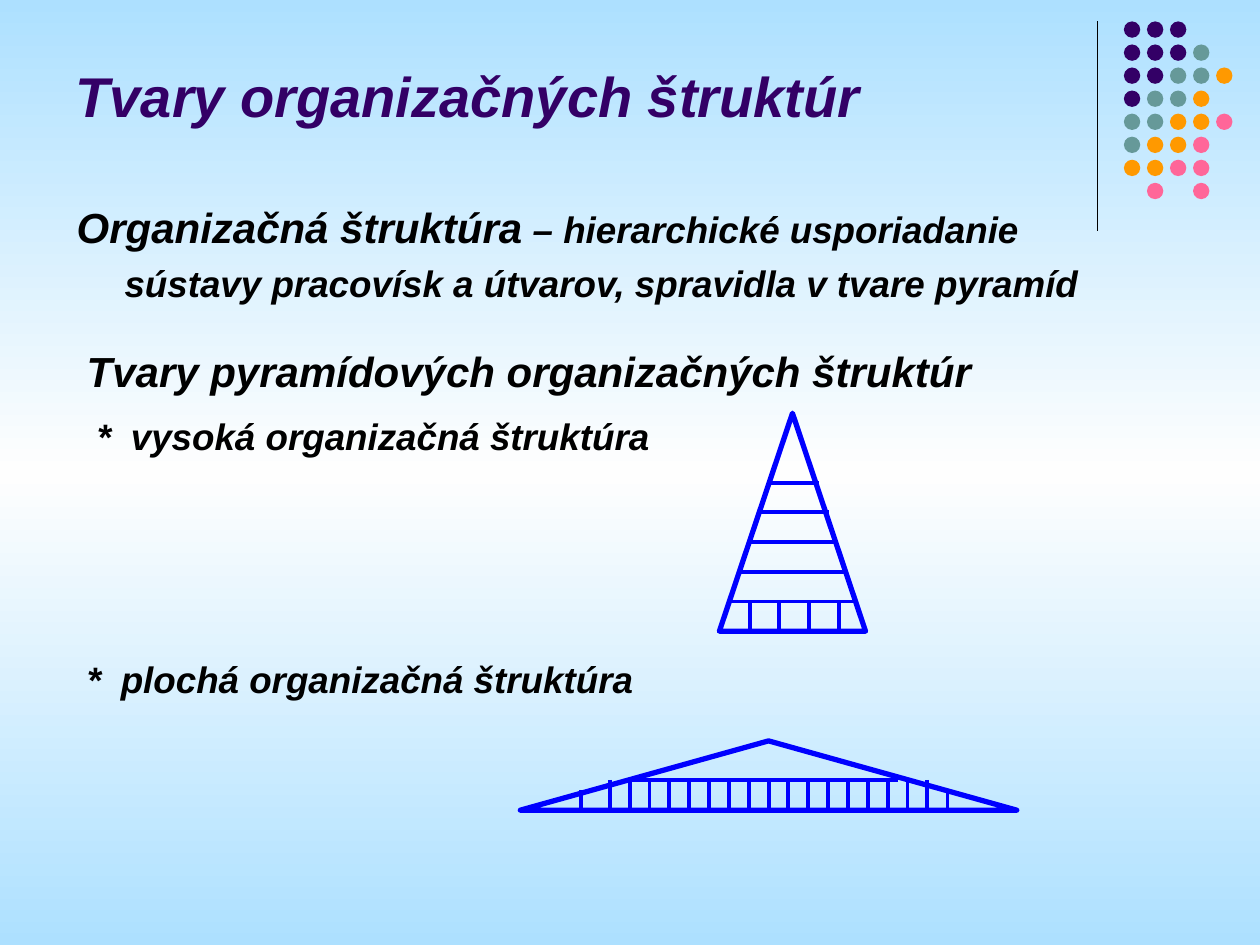
from copy import deepcopy

from lxml import etree
from pptx import Presentation
from pptx.dml.color import RGBColor
from pptx.enum import shapes, text
from pptx.oxml import ns
from pptx.util import Inches, Pt

COLORS = {
    "sky": "ADE0FF", "haze": "FEFEFE", "ink": "000000", "pyramid": "0000FF",
    "violet": "330066", "teal": "669999", "orange": "FF9900", "pink": "FF6699",
}
DOT_ROWS = ["VVV", "VVVT", "VVTTO", "VTTO", "TTOOP", "TOOP", "OOPP", " P P"]
DOT_COLORS = {"V": "violet", "T": "teal", "O": "orange", "P": "pink"}
FONT = "Arial"


def rgb(name):
    return RGBColor.from_string(COLORS[name])


def paint_background(slide):
    fill = slide.background.fill
    fill.gradient()
    fill.gradient_angle = 270
    stop_list = fill.gradient_stops[0]._gs.getparent()
    stop_list.insert(1, deepcopy(stop_list[0]))
    for stop, position, color in zip(fill.gradient_stops, (0, 0.5, 1), ("sky", "haze", "sky")):
        stop.position = position
        stop.color.rgb = rgb(color)


def add_line(parent, start, end, color, weight):
    line = parent.shapes.add_connector(
        shapes.MSO_CONNECTOR.STRAIGHT, *map(Inches, (*start, *end)))
    line.line.color.rgb = rgb(color)
    line.line.width = Pt(weight)
    etree.SubElement(line._element.spPr, ns.qn("a:effectLst"))


def add_dots(slide, left, top, pitch=0.183, size=0.13):
    dots = slide.shapes.add_group_shape()
    for row, codes in enumerate(DOT_ROWS):
        for column, code in enumerate(codes):
            if code == " ":
                continue
            dot = dots.shapes.add_shape(
                shapes.MSO_SHAPE.OVAL, Inches(left + column * pitch),
                Inches(top + row * pitch), Inches(size), Inches(size))
            dot.shadow.inherit = False
            dot.fill.solid()
            dot.fill.fore_color.rgb = rgb(DOT_COLORS[code])
            dot.line.fill.background()


def add_run(paragraph, words, size, color="ink"):
    run = paragraph.add_run()
    run.text = words
    font = run.font
    font.name, font.size, font.bold, font.italic = FONT, Pt(size), True, True
    font.color.rgb = rgb(color)


def add_title(slide, left, top, width, height):
    title = slide.shapes.title
    title.left, title.top, title.width, title.height = map(Inches, (left, top, width, height))
    title.text_frame.vertical_anchor = text.MSO_ANCHOR.BOTTOM
    paragraph = title.text_frame.paragraphs[0]
    paragraph.alignment = text.PP_ALIGN.LEFT
    add_run(paragraph, "Tvary organizačných štruktúr", 32, "violet")


def add_text_frame(slide, left, top, width, height):
    frame = slide.shapes.add_textbox(*map(Inches, (left, top, width, height))).text_frame
    frame.word_wrap = True
    return frame


def format_paragraph(paragraph, margin, hanging, line_spacing):
    properties = paragraph._p.get_or_add_pPr()
    properties.set("marL", str(Inches(margin)))
    properties.set("indent", str(-Inches(hanging)))
    paragraph.line_spacing = line_spacing


def add_definition(slide, left, top, width, height):
    paragraph = add_text_frame(slide, left, top, width, height).paragraphs[0]
    format_paragraph(paragraph, 0.38, 0.38, 1.2)
    add_run(paragraph, "Organizačná štruktúra", 24)
    add_run(paragraph, " – hierarchické usporiadanie sústavy pracovísk a útvarov, "
                       "spravidla v tvare pyramíd", 21)


def add_starred(paragraph, words, offset=0):
    format_paragraph(paragraph, offset + 0.27, 0.27, 1.2)
    add_run(paragraph, "*\t" + words, 21)


def add_shapes_list(slide, left, top, width, height):
    frame = add_text_frame(slide, left, top, width, height)
    heading = frame.paragraphs[0]
    format_paragraph(heading, 0.38, 0.38, 1.1)
    add_run(heading, "Tvary pyramídových organizačných štruktúr", 24)
    tall = frame.add_paragraph()
    tall.space_before = Pt(5.2)
    add_starred(tall, "vysoká organizačná štruktúra", 0.08)


def add_flat_label(slide, left, top, width, height):
    frame = add_text_frame(slide, left, top, width, height)
    add_starred(frame.paragraphs[0], "plochá organizačná štruktúra")


def add_pyramid(slide, left, top, width, height):
    """Add an outlined triangle and return the group that holds it."""
    group = slide.shapes.add_group_shape()
    outline = group.shapes.add_shape(
        shapes.MSO_SHAPE.ISOSCELES_TRIANGLE, *map(Inches, (left, top, width, height)))
    outline.shadow.inherit = False
    outline.fill.background()
    outline.line.color.rgb = rgb("pyramid")
    outline.line.width = Pt(3)
    return group


def add_bar(group, start, end):
    add_line(group, start, end, "pyramid", 2.25)


def add_flat_pyramid(slide, left, top, width, height):
    group = add_pyramid(slide, left, top, width, height)
    level, base = top + 0.31, top + height
    add_bar(group, (left + 0.87, level), (left + 3, level))
    for index in range(17):
        x = left + 0.71 + index * 0.1575
        add_bar(group, (x, level), (x, base))
    for x in (left + 0.48, left + 3.39):
        add_bar(group, (x, level + 0.08), (x, base))


def add_tall_pyramid(slide, left, top, width, height, levels=5):
    group = add_pyramid(slide, left, top, width, height)
    center, base = left + width / 2 + 0.01, top + height
    pitch = 0.236
    for index in range(levels):
        y = base - (levels - index) * pitch
        half = 0.2 + index * 0.0775
        add_bar(group, (center - half, y), (center + half, y))
    for index in range(4):
        x = left + 0.24 + index * pitch
        add_bar(group, (x, base - pitch), (x, base))


def main():
    deck = Presentation()
    deck.slide_width, deck.slide_height = Inches(10), Inches(7.5)
    slide = deck.slides.add_slide(deck.slide_layouts[5])
    paint_background(slide)
    add_line(slide, (8.71, 0.17), (8.71, 1.83), "ink", 0.75)
    add_dots(slide, 8.92, 0.17)
    add_title(slide, 0.5, 0.13, 8.25, 0.94)
    add_definition(slide, 0.51, 1.47, 8.58, 1)
    add_shapes_list(slide, 0.59, 2.65, 8.43, 3.01)
    add_flat_pyramid(slide, 4.13, 5.88, 3.94, 0.55)
    add_tall_pyramid(slide, 5.71, 3.28, 1.16, 1.73)
    add_flat_label(slide, 0.59, 5.09, 5.12, 0.52)
    deck.save("out.pptx")


if __name__ == "__main__":
    main()
